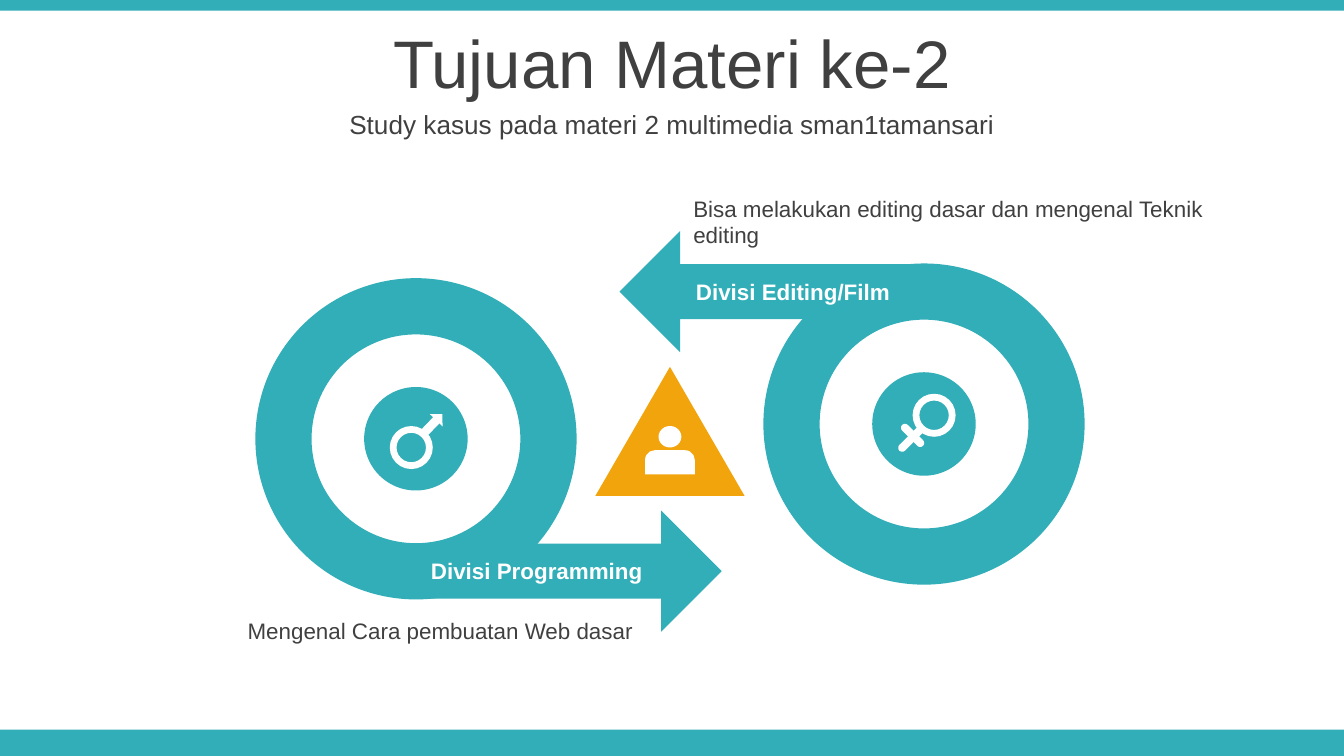
from pptx import Presentation
from pptx.dml.color import RGBColor
from pptx.enum.shapes import MSO_SHAPE as Preset
from pptx.enum.text import MSO_ANCHOR as Anchor, MSO_AUTO_SIZE as AutoSize, PP_ALIGN as Align
from pptx.util import Inches, Pt

TEAL, ORANGE, WHITE, GRAY = "32AEB8", "F2A40D", "FFFFFF", "404040"
WIDTH = 10
HEIGHT = WIDTH * 9 / 16
RING, HUB = 2.39, 0.77

TITLE = ("Tujuan Materi ke-2", (0, 0.14, WIDTH, 0.63), 36)
SUBTITLE = ("Study kasus pada materi 2 multimedia sman1tamansari", (0, 0.77, WIDTH, 0.31), 14)
LABELS = [
    ("Bisa melakukan editing dasar dan mengenal Teknik editing", (5.06, 1.4, 4.41, 0.5), Align.LEFT, GRAY, False),
    ("Mengenal Cara pembuatan Web dasar", (0.4, 4.54, 4.41, 0.3), Align.RIGHT, GRAY, False),
    ("Divisi Programming", (2.32, 4.1, 2.56, 0.3), Align.RIGHT, WHITE, True),
    ("Divisi Editing/Film", (5.08, 2.02, 2.56, 0.3), Align.LEFT, WHITE, True),
]
BARS = [(0, 5.43, WIDTH, 0.2), (0, 0, WIDTH, 0.08)]
LOOPS = [
    ((1.9, 2.07), (3.2, 3.8, 2.17, 0.9), 0),
    ((5.68, 1.96), (4.61, 1.72, 2.17, 0.9), 180),
]
ICONS = [
    (Preset.ISOSCELES_TRIANGLE, (4.43, 2.73, 1.11, 0.96), ORANGE, (), 0),
    (Preset.ROUND_2_SAME_RECTANGLE, (4.8, 3.35, 0.37, 0.18), WHITE, (0.4, 0), 0),
    (Preset.OVAL, (4.9, 3.17, 0.17, 0.16), WHITE, (), 0),
    (Preset.DONUT, (2.9, 3.17, 0.32, 0.32), WHITE, (0.158,), 0),
    (Preset.UP_ARROW, (3.15, 3.05, 0.13, 0.22), WHITE, (), 43.9),
    (Preset.DONUT, (6.79, 2.93, 0.32, 0.32), WHITE, (0.158,), 0),
    (Preset.ROUNDED_RECTANGLE, (6.75, 3.14, 0.06, 0.25), WHITE, (0.5,), 45),
    (Preset.ROUNDED_RECTANGLE, (6.76, 3.13, 0.06, 0.22), WHITE, (0.5,), 135),
]


def color(hex_value):
    return RGBColor.from_string(hex_value)


def add_shape(slide, preset, box, fill, adjustments=(), rotation=0):
    shape = slide.shapes.add_shape(preset, *map(Inches, box))
    shape.shadow.inherit = False
    shape.fill.solid()
    shape.fill.fore_color.rgb = color(fill)
    shape.line.fill.background()
    shape.rotation = rotation
    for index, value in enumerate(adjustments):
        shape.adjustments[index] = value


def add_loop(slide, corner, arrow_box, rotation):
    left, top = corner
    inset = (RING - HUB) / 2
    add_shape(slide, Preset.DONUT, (left, top, RING, RING), TEAL, (0.175,), rotation)
    add_shape(slide, Preset.RIGHT_ARROW, arrow_box, TEAL, (0.455, 0.5), rotation)
    add_shape(slide, Preset.OVAL, (left + inset, top + inset, HUB, HUB), TEAL)


def write(shape, text, size, align, hex_value=GRAY, bold=False, anchor=Anchor.TOP):
    frame = shape.text_frame
    frame.word_wrap = True
    frame.auto_size = AutoSize.NONE
    frame.vertical_anchor = anchor
    paragraph = frame.paragraphs[0]
    paragraph.alignment = align
    run = paragraph.add_run()
    run.text = text
    run.font.name = "Arial"
    run.font.size = Pt(size)
    run.font.bold = bold
    run.font.color.rgb = color(hex_value)


def main():
    """Build the slide with two looping arrows and save it."""
    presentation = Presentation()
    presentation.slide_width, presentation.slide_height = Inches(WIDTH), Inches(HEIGHT)
    slide = presentation.slides.add_slide(presentation.slide_layouts[5])

    for box in BARS:
        add_shape(slide, Preset.RECTANGLE, box, TEAL)

    text, box, size = TITLE
    title = slide.shapes.title
    title.left, title.top, title.width, title.height = map(Inches, box)
    write(title, text, size, Align.CENTER, anchor=Anchor.MIDDLE)
    text, box, size = SUBTITLE
    subtitle = slide.shapes.add_textbox(*map(Inches, box))
    write(subtitle, text, size, Align.CENTER, anchor=Anchor.MIDDLE)

    for loop in LOOPS:
        add_loop(slide, *loop)
    for icon in ICONS:
        add_shape(slide, *icon)

    for text, box, align, hex_value, bold in LABELS:
        write(slide.shapes.add_textbox(*map(Inches, box)), text, 12, align, hex_value, bold)

    presentation.save("out.pptx")


if __name__ == "__main__":
    main()
